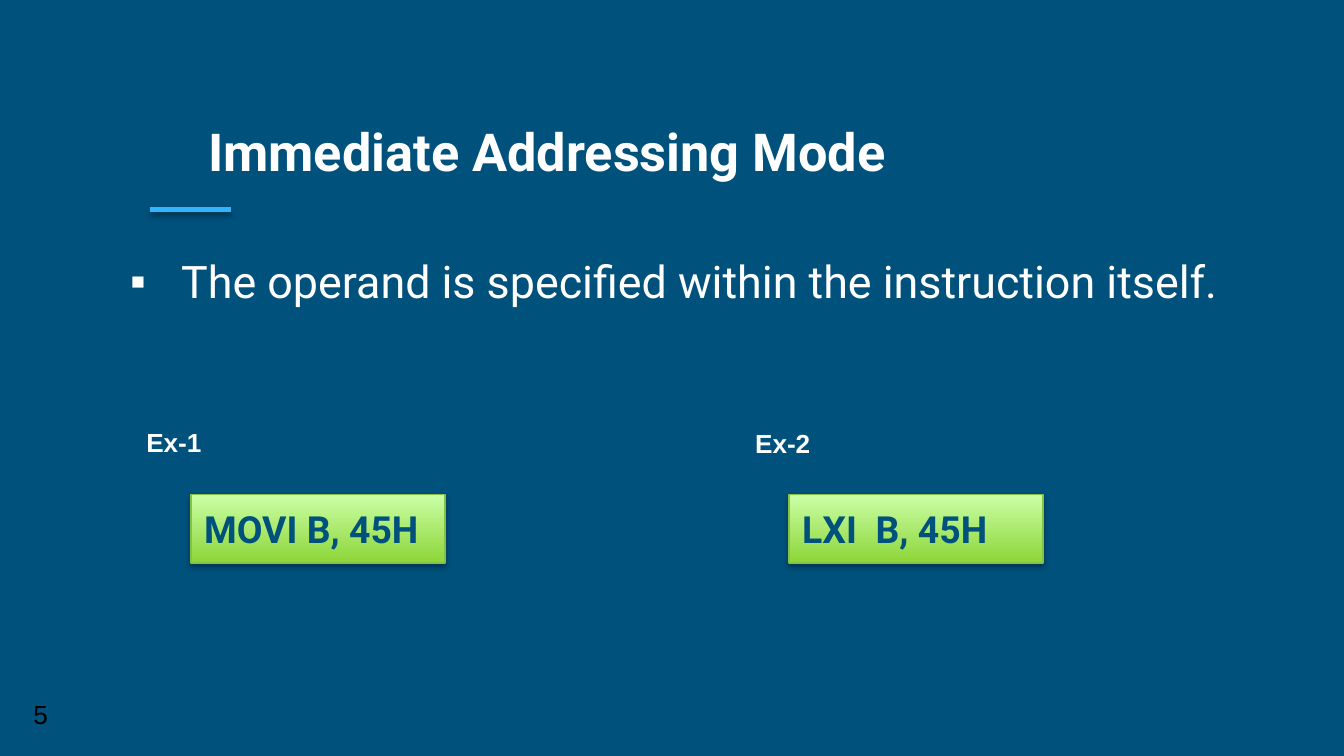
"""Build the slide on the immediate addressing mode, with two instruction examples."""
from dataclasses import dataclass

import lxml.etree
import pptx
import pptx.dml.color
import pptx.enum.shapes
import pptx.enum.text
import pptx.oxml
import pptx.oxml.ns
import pptx.util

COLUMNS, ROWS = 100, 56.25
CELL = pptx.util.Inches(0.1)
COLORS = {
    "background": "00517C",
    "white": "FFFFFF",
    "black": "000000",
    "accent": "32B4FF",
    "box_bottom": "8CD538",
    "box_top": "CBFFA6",
    "box_border": "88C245",
}
SHADOW = (
    f'<a:effectLst {pptx.oxml.ns.nsdecls("a")}>'
    '<a:outerShdw blurRad="39370" dist="22860" dir="5400000" rotWithShape="0">'
    '<a:srgbClr val="000000"><a:alpha val="35000"/></a:srgbClr>'
    "</a:outerShdw></a:effectLst>"
)


@dataclass(frozen=True)
class Area:
    column: float
    row: float
    width: float
    height: float

    def lengths(self) -> list[int]:
        return [cells(n) for n in (self.column, self.row, self.width, self.height)]


@dataclass(frozen=True)
class Style:
    font: str
    size: int
    color: str
    bold: bool = False


@dataclass(frozen=True)
class Example:
    label: str
    instruction: str
    label_area: Area
    box_column: float


TITLE = Style("Roboto", 28, "white", True)
BODY = Style("Roboto", 24, "white")
INSTRUCTION = Style("Roboto", 20, "background", True)
LABEL = Style("Arial", 14, "white", True)
NUMBER = Style("Arial", 14, "black")
EXAMPLES = (
    Example("Ex-1", "MOVI B, 45H", Area(9.9, 31.2, 13.7, 3.4), 14.2),
    Example("Ex-2", "LXI  B, 45H", Area(55.2, 31.3, 13.7, 3.4), 58.7),
)


def cells(count: float) -> int:
    return round(count * CELL)


def color(name: str) -> pptx.dml.color.RGBColor:
    return pptx.dml.color.RGBColor.from_string(COLORS[name])


def write(shape, text: str, style: Style, align=pptx.enum.text.PP_ALIGN.LEFT):
    shape.text_frame.word_wrap = True
    paragraph = shape.text_frame.paragraphs[0]
    paragraph.text = text
    paragraph.alignment = align
    font = paragraph.runs[0].font
    font.name, font.size, font.bold = style.font, pptx.util.Pt(style.size), style.bold
    font.color.rgb = color(style.color)
    return paragraph


def add_text(slide, area: Area, text: str, style: Style, align=pptx.enum.text.PP_ALIGN.LEFT):
    return write(slide.shapes.add_textbox(*area.lengths()), text, style, align)


def add_shadow(shape) -> None:
    shape._element.spPr.append(pptx.oxml.parse_xml(SHADOW))


def add_bullet(paragraph, character: str, indent: float) -> None:
    properties = paragraph._p.get_or_add_pPr()
    properties.set("marL", str(cells(indent)))
    properties.set("indent", str(-cells(indent)))
    bullet_color = lxml.etree.SubElement(properties, pptx.oxml.ns.qn("a:buClr"))
    lxml.etree.SubElement(bullet_color, pptx.oxml.ns.qn("a:srgbClr"), val=COLORS["white"])
    lxml.etree.SubElement(properties, pptx.oxml.ns.qn("a:buFont"), typeface="Arial")
    lxml.etree.SubElement(properties, pptx.oxml.ns.qn("a:buChar"), char=character)


def add_accent_line(slide, column: float, row: float, width: float) -> None:
    line = slide.shapes.add_connector(
        pptx.enum.shapes.MSO_CONNECTOR.STRAIGHT,
        cells(column), cells(row), cells(column + width), cells(row),
    )
    line.line.color.rgb = color("accent")
    line.line.width = pptx.util.Pt(3)
    add_shadow(line)


def add_example(slide, example: Example) -> None:
    add_text(slide, example.label_area, example.label, LABEL)
    area = Area(example.box_column, 36.8, 18.9, 5.1)
    box = slide.shapes.add_shape(pptx.enum.shapes.MSO_SHAPE.RECTANGLE, *area.lengths())
    box.fill.gradient()
    box.fill.gradient_angle = 90
    for stop, position, name in zip(box.fill.gradient_stops, (0, 1), ("box_bottom", "box_top")):
        stop.position = position
        stop.color.rgb = color(name)
    box.line.color.rgb = color("box_border")
    box.line.width = pptx.util.Pt(0.75)
    add_shadow(box)
    box.text_frame.vertical_anchor = pptx.enum.text.MSO_ANCHOR.MIDDLE
    write(box, example.instruction, INSTRUCTION)


def main() -> None:
    presentation = pptx.Presentation()
    presentation.slide_width, presentation.slide_height = cells(COLUMNS), cells(ROWS)
    slide = presentation.slides.add_slide(presentation.slide_layouts[6])
    slide.background.fill.solid()
    slide.background.fill.fore_color.rgb = color("background")

    add_text(slide, Area(1.5, 51.5, 4.2, 3.4), "5", NUMBER)
    add_text(slide, Area(14.2, 8.4, 53, 4.8), "Immediate Addressing Mode", TITLE,
             pptx.enum.text.PP_ALIGN.CENTER)
    add_accent_line(slide, 11.2, 15.6, 6)
    statement = add_text(slide, Area(8.7, 18.4, 84, 5),
                         "The operand is specified within the instruction itself.", BODY)
    add_bullet(statement, "▪", 3.8)
    statement.space_after = pptx.util.Pt(12)
    for example in EXAMPLES:
        add_example(slide, example)
    presentation.save("out.pptx")


if __name__ == "__main__":
    main()
